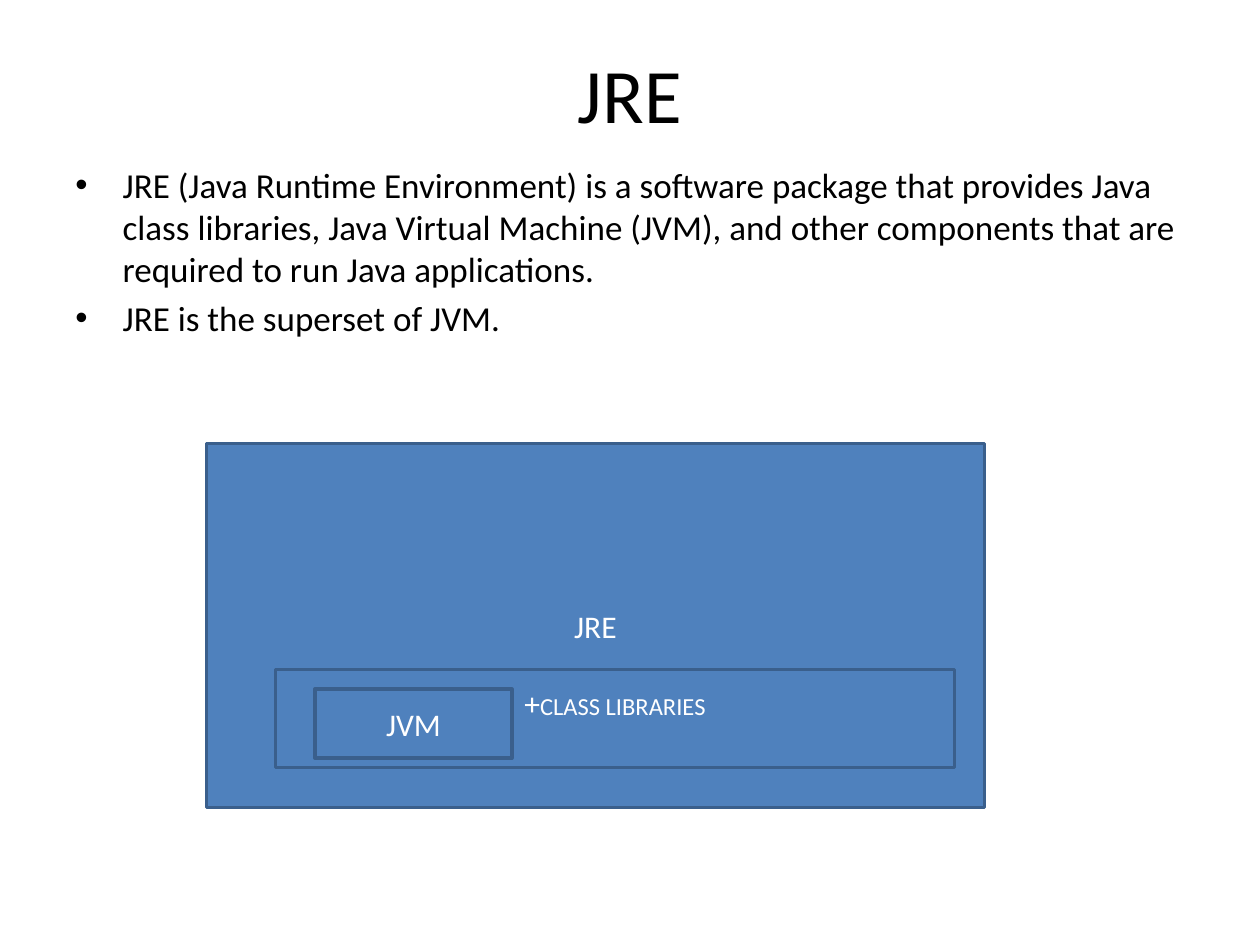
from pptx import Presentation
from pptx.dml.color import RGBColor
from pptx.enum.shapes import MSO_SHAPE
from pptx.enum.text import MSO_ANCHOR, PP_ALIGN
from pptx.oxml.ns import qn
from pptx.util import Pt
from lxml import etree

RECT = MSO_SHAPE.RECTANGLE
TOP, MIDDLE = MSO_ANCHOR.TOP, MSO_ANCHOR.MIDDLE
LEFT, CENTER = PP_ALIGN.LEFT, PP_ALIGN.CENTER

BLACK = RGBColor(0x00, 0x00, 0x00)
WHITE = RGBColor(0xFF, 0xFF, 0xFF)
BLUE = RGBColor(0x4F, 0x81, 0xBD)
DARK_BLUE = RGBColor(0x3A, 0x5F, 0x8C)
FONT = "Calibri"
INDENT = 27

TITLE = "JRE"
BULLETS = [
    "JRE (Java Runtime Environment) is a software package that provides "
    "Java class libraries, Java Virtual Machine (JVM), and other components "
    "that are required to run Java applications.",
    "JRE is the superset of JVM.",
]
# Nested boxes, outermost first: (left, top, width, height), runs, bottom inset
BOXES = [
    ((118, 253.5, 444.5, 208), [("JRE", 18)], 3.6),
    ((157.5, 382.5, 388, 56), [("+", 18), ("CLASS LIBRARIES", 14)], 20.7),
    ((180, 393.75, 112.5, 39.5), [("JVM", 18)], 3.6),
]


def add_runs(p, runs, color, align):
    p.alignment = align
    for text, size in runs:
        r = p.add_run()
        r.text = text
        r.font.name = FONT
        r.font.size = Pt(size)
        r.font.color.rgb = color


def add_text_frame(s, box, anchor):
    tf = s.shapes.add_textbox(*map(Pt, box)).text_frame
    tf.word_wrap = True
    tf.vertical_anchor = anchor
    return tf


def set_bullet(p):
    pPr = p._p.get_or_add_pPr()
    pPr.set("marL", str(Pt(INDENT)))
    pPr.set("indent", str(-Pt(INDENT)))
    etree.SubElement(pPr, qn("a:buFont"), typeface="Arial")
    etree.SubElement(pPr, qn("a:buChar"), char="•")


def add_box(s, box, runs, bottom):
    sp = s.shapes.add_shape(RECT, *map(Pt, box))
    sp.shadow.inherit = False
    sp.fill.solid()
    sp.fill.fore_color.rgb = BLUE
    sp.line.color.rgb = DARK_BLUE
    sp.line.width = Pt(2)
    tf = sp.text_frame
    tf.word_wrap = True
    tf.vertical_anchor = MIDDLE
    tf.margin_bottom = Pt(bottom)
    add_runs(tf.paragraphs[0], runs, WHITE, CENTER)


prs = Presentation()
prs.slide_width, prs.slide_height = Pt(720), Pt(540)
s = prs.slides.add_slide(prs.slide_layouts[6])

tf = add_text_frame(s, (36, 21.6, 648, 62.6), MIDDLE)
add_runs(tf.paragraphs[0], [(TITLE, 44)], BLACK, CENTER)

tf = add_text_frame(s, (36, 90, 648, 422), TOP)
for i, text in enumerate(BULLETS):
    p = tf.add_paragraph() if i else tf.paragraphs[0]
    p.space_before = Pt(4)
    set_bullet(p)
    add_runs(p, [(text, 20)], BLACK, LEFT)

for box, runs, bottom in BOXES:
    add_box(s, box, runs, bottom)

prs.save("out.pptx")
